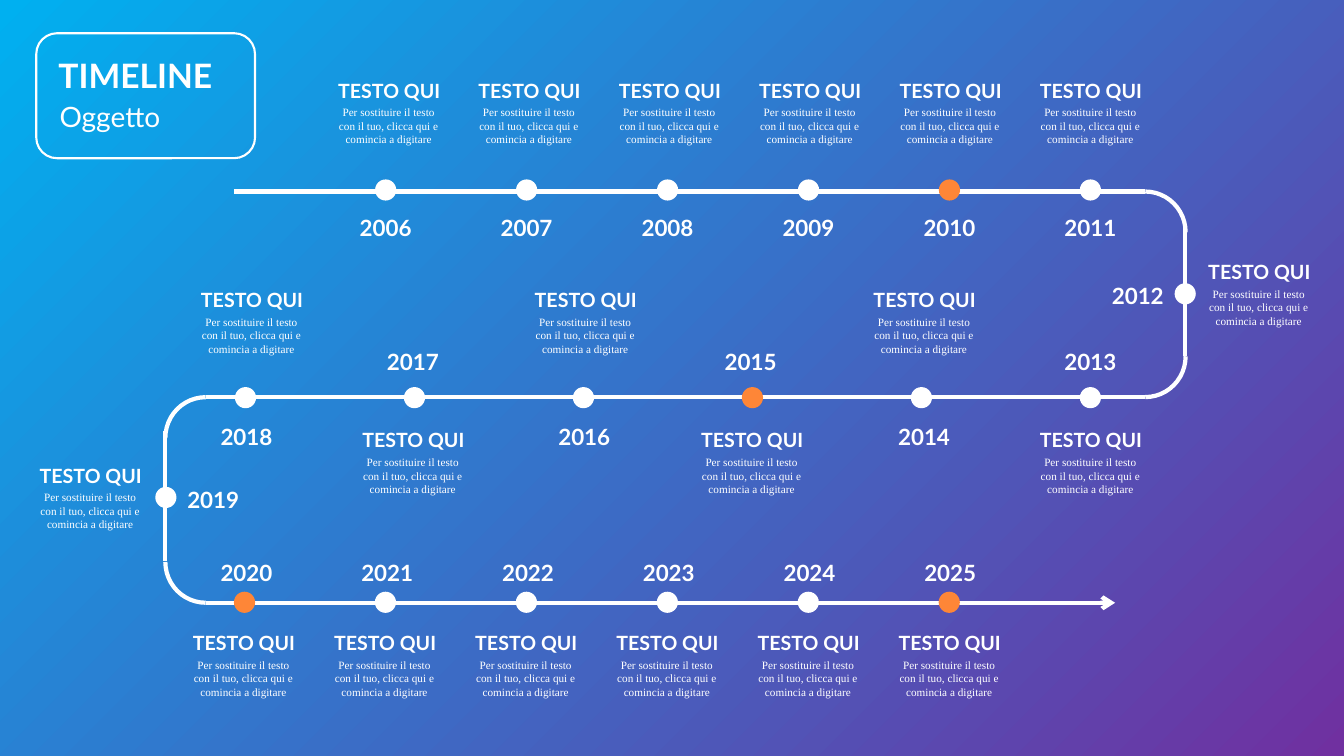
"""Builds a winding timeline slide."""
from lxml.etree import SubElement
from pptx import Presentation
from pptx.dml.color import RGBColor
from pptx.enum.shapes import MSO_CONNECTOR, MSO_SHAPE
from pptx.enum.text import MSO_ANCHOR, MSO_AUTO_SIZE, PP_ALIGN
from pptx.oxml.ns import qn
from pptx.util import Inches, Pt

WHITE = RGBColor(0xFF, 0xFF, 0xFF)
ORANGE = RGBColor(0xFE, 0x86, 0x37)
SKY = RGBColor(0x00, 0xB0, 0xF0)
PURPLE = RGBColor(0x70, 0x30, 0xA0)
HIGHLIGHTED_YEARS = {2010, 2015, 2020, 2025}
DOT_SIZE = 0.21
CAPTION = "Per sostituire il testo con il tuo, clicca qui e comincia a digitare"


def spread(first, last, count=6):
    """Return evenly spaced positions from first to last."""
    return [first + (last - first) * index / (count - 1) for index in range(count)]


def place(shape, left, top, width, height):
    """Move and size a shape, in inches."""
    shape.left, shape.top = Inches(left), Inches(top)
    shape.width, shape.height = Inches(width), Inches(height)


def write_text(shape, text, size, font="Lato", bold=False, align=PP_ALIGN.CENTER,
               auto_size=MSO_AUTO_SIZE.SHAPE_TO_FIT_TEXT):
    """Write one white paragraph into a shape."""
    frame = shape.text_frame
    frame.word_wrap = True
    frame.auto_size = auto_size
    frame.vertical_anchor = MSO_ANCHOR.TOP
    paragraph = frame.paragraphs[0]
    paragraph.text = text
    paragraph.alignment = align
    paragraph.space_before = Pt(0)
    paragraph.font.name = font
    paragraph.font.size = Pt(size)
    paragraph.font.bold = bold
    paragraph.font.color.rgb = WHITE


def add_text(slide, box, text, size, **text_format):
    """Add a text box at (left, top, width, height)."""
    shape = slide.shapes.add_textbox(*map(Inches, box))
    write_text(shape, text, size, **text_format)


def add_line(slide, start, end, arrow=False):
    """Add a straight piece of the track."""
    connector = slide.shapes.add_connector(
        MSO_CONNECTOR.STRAIGHT, *map(Inches, (*start, *end)))
    connector.line.color.rgb = WHITE
    connector.line.width = Pt(3)
    if arrow:
        SubElement(connector.line._get_or_add_ln(), qn("a:tailEnd"), type="arrow")
    SubElement(connector._element.spPr, qn("a:effectLst"))


def add_outline(slide, kind, box, width):
    """Add an unfilled white outline and return it."""
    shape = slide.shapes.add_shape(kind, *map(Inches, box))
    shape.shadow.inherit = False
    shape.fill.background()
    shape.line.color.rgb = WHITE
    shape.line.width = Pt(width)
    return shape


def add_corner(slide, left, top, *flips):
    """Add a rounded corner of the track, flipped as named."""
    corner = add_outline(slide, MSO_SHAPE.ARC, (left, top, 0.8, 0.81), 3)
    for flip in flips:
        corner._element.spPr.find(qn("a:xfrm")).set(flip, "1")


def add_dot(slide, left, top, color):
    """Add a round marker on the track."""
    dot = slide.shapes.add_shape(
        MSO_SHAPE.FLOWCHART_CONNECTOR, *map(Inches, (left, top, DOT_SIZE, DOT_SIZE)))
    dot.shadow.inherit = False
    dot.fill.solid()
    dot.fill.fore_color.rgb = color
    dot.line.fill.background()


def add_milestone(slide, year, dot, label, caption):
    """Add a marker, its year and its caption, each at (left, top)."""
    add_dot(slide, *dot, ORANGE if year in HIGHLIGHTED_YEARS else WHITE)
    add_text(slide, (*label, 0.73, 0.37), str(year), 16, bold=True)
    left, top = caption
    add_text(slide, (left, top, 1.28, 0.33), "TESTO QUI", 14, bold=True)
    add_text(slide, (left, top + 0.27, 1.27, 0.5), CAPTION, 8, font="Times New Roman")


def add_row(slide, first_year, dot_top, dots, labels, captions, tops):
    """Add a row of milestones, cycling through (label top, caption top) pairs."""
    for index, (dot, label, caption) in enumerate(zip(dots, labels, captions)):
        label_top, caption_top = tops[index % len(tops)]
        add_milestone(slide, first_year + index, (dot, dot_top),
                      (label, label_top), (caption, caption_top))


def add_track(slide):
    """Draw the winding line with its corners and arrow."""
    add_line(slide, (2.32, 1.9), (11.36, 1.9))
    add_line(slide, (11.36, 3.94), (2.04, 3.94))
    add_line(slide, (10.88, 5.98), (2.04, 5.98))
    add_line(slide, (10.82, 5.98), (11.06, 5.98), arrow=True)
    add_line(slide, (11.75, 3.53), (11.75, 2.24))
    add_line(slide, (1.64, 5.57), (1.64, 4.28))
    add_corner(slide, 10.96, 1.9)
    add_corner(slide, 10.96, 3.13, "flipV")
    add_corner(slide, 1.64, 3.94, "flipH")
    add_corner(slide, 1.64, 5.17, "flipH", "flipV")


def add_milestones(slide):
    """Add all milestones along the track."""
    add_row(slide, 2006, 1.78, spread(3.72, 10.71), spread(3.46, 10.45),
            spread(3.22, 10.18), [(2.08, 0.73)])
    add_milestone(slide, 2012, (11.65, 2.81), (10.92, 2.75), (11.85, 2.53))
    add_row(slide, 2013, 3.84, spread(10.71, 2.33),
            [10.45, 8.8, 7.08, 5.43, 3.73, 2.08],
            [10.18, 8.53, 6.82, 5.17, 3.46, 1.86], [(3.4, 4.2), (4.15, 2.81)])
    add_milestone(slide, 2019, (1.54, 4.83), (1.75, 4.77), (0.26, 4.55))
    add_row(slide, 2020, 5.87, spread(2.32, 9.31), spread(2.08, 9.06),
            spread(1.78, 8.78), [(5.5, 6.21)])


def add_heading(slide):
    """Fill the title and subtitle and frame them."""
    title, subtitle = slide.shapes.title, slide.placeholders[1]
    place(title, 0.48, 0.49, 1.94, 0.5)
    write_text(title, "TIMELINE", 24, bold=True, align=PP_ALIGN.LEFT,
               auto_size=MSO_AUTO_SIZE.NONE)
    place(subtitle, 0.49, 0.94, 1.94, 0.43)
    write_text(subtitle, "Oggetto", 20, align=PP_ALIGN.LEFT,
               auto_size=MSO_AUTO_SIZE.NONE)
    add_outline(slide, MSO_SHAPE.ROUNDED_RECTANGLE, (0.36, 0.33, 2.17, 1.24), 1.5)


def paint_background(slide):
    """Give the slide a diagonal gradient."""
    fill = slide.background.fill
    fill.gradient()
    fill.gradient_angle = 315
    for stop, color, position in zip(fill.gradient_stops, (SKY, PURPLE), (0, 1)):
        stop.color.rgb = color
        stop.position = position


def main():
    """Build and save the presentation."""
    presentation = Presentation()
    presentation.slide_width = Inches(13.33)
    presentation.slide_height = Inches(7.5)
    slide = presentation.slides.add_slide(presentation.slide_layouts[0])
    paint_background(slide)
    add_heading(slide)
    add_track(slide)
    add_milestones(slide)
    presentation.save("out.pptx")


if __name__ == "__main__":
    main()
